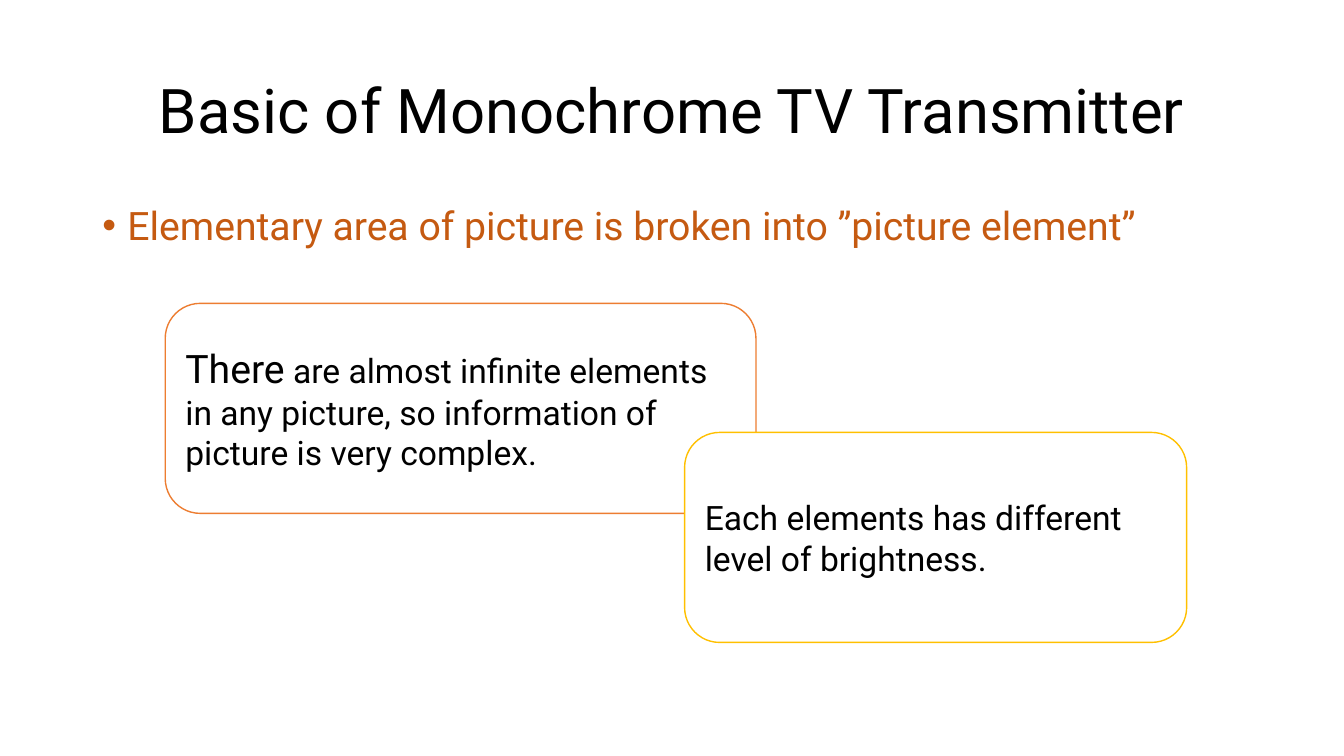
"""Build the slide on the basics of a monochrome TV transmitter."""
from lxml import etree
from pptx import Presentation
from pptx import util as u
from pptx.dml.color import RGBColor
from pptx.enum import shapes, text
from pptx.oxml.ns import qn

BLACK = RGBColor(0x00, 0x00, 0x00)
WHITE = RGBColor(0xFF, 0xFF, 0xFF)
RUST = RGBColor(0xC5, 0x5A, 0x11)
ORANGE = RGBColor(0xED, 0x7D, 0x31)
GOLD = RGBColor(0xFF, 0xC0, 0x00)


def write(frame, *runs, color=BLACK, align=text.PP_ALIGN.LEFT,
          anchor=text.MSO_ANCHOR.MIDDLE, spacing=1.0, bullet=None):
    frame.word_wrap = True
    frame.vertical_anchor = anchor
    paragraph = frame.paragraphs[0]
    paragraph.alignment = align
    paragraph.line_spacing = spacing
    if bullet:
        properties = paragraph._p.get_or_add_pPr()
        properties.set("marL", str(u.Pt(18)))
        properties.set("indent", str(u.Pt(-18)))
        etree.SubElement(properties, qn("a:buFont")).set("typeface", "Arial")
        etree.SubElement(properties, qn("a:buChar")).set("char", bullet)
    for words, size in runs:
        run = paragraph.add_run()
        run.text = words
        run.font.name = "Roboto"
        run.font.size = u.Pt(size)
        run.font.color.rgb = color


deck = Presentation()
deck.slide_width, deck.slide_height = u.Pt(960), u.Pt(540)
slide = deck.slides.add_slide(deck.slide_layouts[6])

title = slide.shapes.add_textbox(u.Pt(66), u.Pt(28.75), u.Pt(828), u.Pt(104.4))
write(title.text_frame, ("Basic of Monochrome TV Transmitter", 44),
      align=text.PP_ALIGN.CENTER, spacing=0.9)

key_point = slide.shapes.add_textbox(u.Pt(66), u.Pt(143.75), u.Pt(828), u.Pt(342.6))
write(key_point.text_frame,
      ("Elementary area of picture is broken into ”picture element”", 28),
      color=RUST, anchor=text.MSO_ANCHOR.TOP, spacing=0.9, bullet="•")

facts = [
    (118, 216.7, 422, ORANGE, [
        ("There", 28),
        (" are almost infinite elements in any picture, "
         "so information of picture is very complex.", 24)]),
    (489, 308.9, 358.6, GOLD, [
        ("Each elements has different level of brightness.", 24)]),
]
for left, top, width, outline, runs in facts:
    fact = slide.shapes.add_shape(shapes.MSO_SHAPE.ROUNDED_RECTANGLE,
                                  u.Pt(left), u.Pt(top), u.Pt(width), u.Pt(150))
    fact.shadow.inherit = False
    fact.fill.solid()
    fact.fill.fore_color.rgb = WHITE
    fact.line.color.rgb = outline
    fact.line.width = u.Pt(1)
    write(fact.text_frame, *runs)

deck.save("out.pptx")
